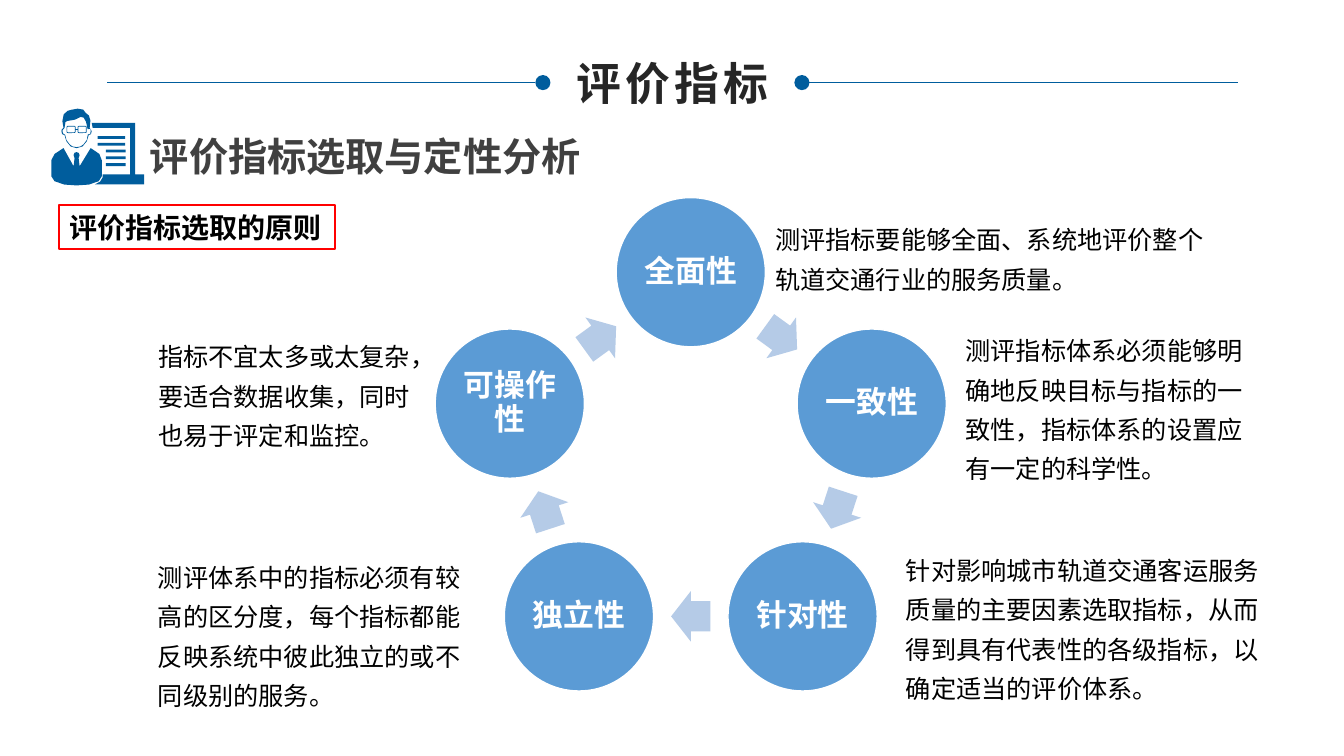
from math import cos, radians, sin

from lxml import etree
from pptx import Presentation
from pptx.dml.color import RGBColor
from pptx.enum.shapes import MSO_CONNECTOR, MSO_SHAPE
from pptx.enum.text import MSO_ANCHOR, PP_ALIGN
from pptx.oxml.ns import qn
from pptx.util import Pt

LINE = MSO_CONNECTOR.STRAIGHT
RECT, ROUNDED = MSO_SHAPE.RECTANGLE, MSO_SHAPE.ROUNDED_RECTANGLE
OVAL, ARROW = MSO_SHAPE.OVAL, MSO_SHAPE.RIGHT_ARROW
LEFT, CENTER = PP_ALIGN.LEFT, PP_ALIGN.CENTER
TOP, MIDDLE = MSO_ANCHOR.TOP, MSO_ANCHOR.MIDDLE

FONT = "Noto Sans CJK SC"
NAVY, BLUE, PALE, RED = "005D9D", "5B9BD5", "B5CBE7", "FF0000"
WHITE, BLACK = "FFFFFF", "000000"

PRINCIPLES = [
    ("全面性", "测评指标要能够全面、系统地评价整个轨道交通行业的服务质量。",
     (546.5, 150.5, 332.6, 64)),
    ("一致性", "测评指标体系必须能够明确地反映目标与指标的一致性，指标体系的设置应有一定的科学性。",
     (682.6, 229.7, 226.8, 121)),
    ("针对性", "针对影响城市轨道交通客运服务质量的主要因素选取指标，从而得到具有代表性的各级指标，"
     "以确定适当的评价体系。", (640, 386.6, 278.6, 121)),
    ("独立性", "测评体系中的指标必须有较高的区分度，每个指标都能反映系统中彼此独立的或不同级别的服务。",
     (105.8, 391.7, 247, 118)),
    ("可操作性", "指标不宜太多或太复杂，要适合数据收集，同时也易于评定和监控。",
     (105.8, 234, 195, 92)),
]

HEAD = [(43.9, 93.6), (44.4, 95.8), (46.1, 96.5), (47.5, 101), (50.5, 104.6),
        (54.7, 105.8), (59, 104.6), (62, 101), (63.4, 96.5), (65, 95.8),
        (65.5, 93.6), (64.1, 91.4), (64.6, 86), (63.5, 82.5), (61.2, 80.6),
        (59.5, 78.3), (55.5, 77.6), (51, 78.4), (48.2, 79.2), (45.5, 81.8),
        (44.6, 86.5), (45.4, 91.4), (44.2, 92.3)]
FACE = [(46.1, 91.4), (46.8, 87.1), (48.2, 86.4), (53.5, 85.5), (57.6, 83.5),
        (59.8, 84), (61.5, 87), (62.6, 92.2), (64.6, 92), (64.8, 93.6),
        (64.5, 95.6), (62.8, 96), (62, 100), (59.8, 103), (57.6, 104.6),
        (54.7, 105.1), (51.8, 104.6), (49.7, 103), (47.5, 100), (46.6, 96.3),
        (44.9, 95.2), (44.7, 93), (45.4, 92.2)]
BOARD = [(96.5, 124.6), (96.5, 87.8), (65.5, 87.8), (66.2, 91.4), (92.9, 91.4),
         (92.9, 124.6), (73.4, 124.6), (73.4, 126.7), (71.5, 129.8),
         (67.7, 131.8), (103, 131.8), (103, 124.6)]
SUIT = [(72.7, 126), (72.7, 114.5), (71, 110), (64.8, 105.8), (56.9, 118.8),
        (56.2, 113), (56.9, 110.9), (56.2, 109.2), (54.7, 108.7), (53.2, 109.2),
        (52.6, 110.9), (53.3, 113), (52.6, 118.8), (45.4, 105.8), (39, 110),
        (36.7, 114.5), (36.7, 126), (39, 129.5), (46, 131.9), (54.7, 132.5),
        (63.5, 131.9), (70.5, 129.5)]


def rgb(color):
    """Turn a hex string into a colour."""
    return RGBColor.from_string(color)


def write(sp, text, size=18, color=BLACK, bold=False, align=LEFT, anchor=TOP,
          wrap=True, inset=None, spacing=None, tracking=None):
    """Put one formatted paragraph into a shape."""
    tf = sp.text_frame
    tf.word_wrap, tf.vertical_anchor = wrap, anchor
    if inset is not None:
        tf.margin_left = tf.margin_right = Pt(inset)
        tf.margin_top = tf.margin_bottom = Pt(inset)
    p = tf.paragraphs[0]
    p.alignment = align
    if spacing:
        p.line_spacing = spacing
    r = p.add_run()
    r.text = text
    r.font.size, r.font.bold, r.font.name = Pt(size), bold, FONT
    r.font.color.rgb = rgb(color)
    rPr = r.font._element
    etree.SubElement(rPr, qn("a:ea")).set("typeface", FONT)
    if tracking:
        rPr.set("spc", str(tracking * 100))


def paint(sp, fill=None, line=None, width=1):
    """Set fill and outline and drop the shadow."""
    sp.shadow.inherit = False
    if fill:
        sp.fill.solid()
        sp.fill.fore_color.rgb = rgb(fill)
    else:
        sp.fill.background()
    if line:
        sp.line.color.rgb, sp.line.width = rgb(line), Pt(width)
    else:
        sp.line.fill.background()
    return sp


def add_shape(s, kind, x, y, w, h, **look):
    """Add a painted preset shape."""
    return paint(s.shapes.add_shape(kind, Pt(x), Pt(y), Pt(w), Pt(h)), **look)


def add_text(s, box, text, **style):
    """Add a text box."""
    write(s.shapes.add_textbox(*map(Pt, box)), text, **style)


def add_line(s, x1, x2, y, width):
    """Add a horizontal navy line."""
    c = s.shapes.add_connector(LINE, Pt(x1), Pt(y), Pt(x2), Pt(y))
    c.line.color.rgb, c.line.width = rgb(NAVY), Pt(width)
    etree.SubElement(c._element.spPr, qn("a:effectLst"))


def add_outline(s, *contours):
    """Add one navy freeform made of closed contours."""
    builder = None
    for contour in contours:
        (x, y), *rest = [(Pt(a), Pt(b)) for a, b in contour]
        if builder is None:
            builder = s.shapes.build_freeform(x, y)
        else:
            builder.move_to(x, y)
        builder.add_line_segments(rest, close=True)
    paint(builder.convert_to_shape(), fill=NAVY)


def add_title(s, text):
    """Place the title between two dotted rules."""
    sp = s.shapes.title
    sp.left, sp.top, sp.width, sp.height = Pt(402.5), Pt(36), Pt(156), Pt(46)
    write(sp, text, size=32, color="262626", bold=True, align=CENTER,
          anchor=MIDDLE, wrap=False, tracking=3)
    for outer, inner, dot in ((76.5, 382.4, 382.4), (884.2, 578.2, 567.4)):
        add_line(s, outer, inner, 59, 0.25)
        add_shape(s, OVAL, dot, 53.6, 10.8, 10.8, fill=NAVY)


def add_presenter_icon(s):
    """Draw the presenter in front of a board."""
    add_outline(s, HEAD, FACE)
    for x in (47.8, 55.7):
        add_shape(s, ROUNDED, x, 90.2, 6, 4.6, line=NAVY, width=0.5)
    add_line(s, 53.8, 55.7, 92.2, 0.5)
    add_outline(s, BOARD)
    add_outline(s, SUIT)
    for i in range(5):
        x, w = (69.8, 19.6) if i < 2 else (75.6, 14.2)
        add_shape(s, RECT, x, 97.2 + 4.85 * i, w, 2, fill=NAVY)


def add_cycle(s, cx=493.4, cy=330.3, radius=135.9, size=106.6):
    """Draw the ring of principles with arrows between them."""
    step = 360 / len(PRINCIPLES)
    reach = radius * cos(radians(step / 2))
    w, h = 28.1, 36
    for i, (name, text, box) in enumerate(PRINCIPLES):
        a = radians(step * i)
        x, y = cx + radius * sin(a), cy - radius * cos(a)
        sp = add_shape(s, OVAL, x - size / 2, y - size / 2, size, size,
                       fill=BLUE, line=WHITE)
        write(sp, name, size=22, color=WHITE, bold=True, align=CENTER,
              anchor=MIDDLE, inset=2.2, spacing=0.9)
        turn = step * (i + 0.5)
        a = radians(turn)
        x, y = cx + reach * sin(a), cy - reach * cos(a)
        sp = add_shape(s, ARROW, x - w / 2, y - h / 2, w, h, fill=PALE)
        sp.adjustments[0], sp.adjustments[1] = 0.6, 0.5
        sp.rotation = turn
        add_text(s, box, text, spacing=1.3)


def main():
    """Build the slide and save it."""
    prs = Presentation()
    prs.slide_width, prs.slide_height = Pt(960), Pt(540)
    s = prs.slides.add_slide(prs.slide_layouts[5])
    add_title(s, "评价指标")
    sp = add_shape(s, RECT, 42.5, 146.4, 196.6, 31.7, line=RED, width=1.5)
    write(sp, "评价指标选取的原则", size=20, bold=True, anchor=MIDDLE, wrap=False)
    add_cycle(s)
    add_text(s, (100, 90.7, 345, 41), "评价指标选取与定性分析", size=28,
             color="404040", bold=True)
    add_presenter_icon(s)
    prs.save("out.pptx")


if __name__ == "__main__":
    main()
